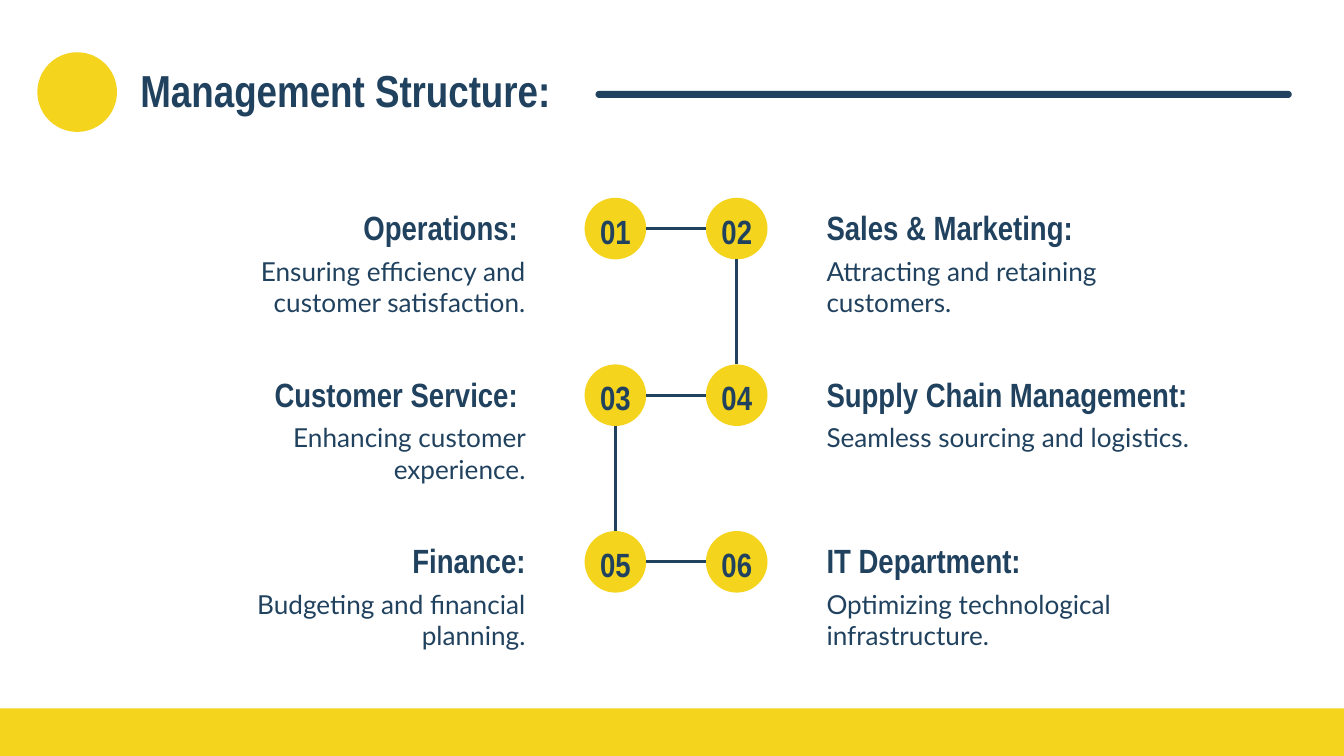
import pptx
import pptx.util
import pptx.dml.color
import pptx.enum.shapes
import pptx.enum.text
import pptx.oxml.xmlchemy
from lxml import etree

Pt = pptx.util.Pt
SHAPE = pptx.enum.shapes.MSO_SHAPE
ALIGN = pptx.enum.text.PP_ALIGN
ANCHOR = pptx.enum.text.MSO_ANCHOR

YELLOW, NAVY = "F5D41E", "21425F"
HEADING = {"name": "Arial Narrow", "size": Pt(18), "bold": True}
TITLE = {**HEADING, "size": Pt(24)}
BODY = {"name": "Lato", "size": Pt(14), "bold": False}
INSET = 7.2
CIRCLE = 33
ROW_PITCH = 89.25

DEPARTMENTS = [
    (("Operations: ", "Ensuring efficiency and customer satisfaction."),
     ("Sales & Marketing:", "Attracting and retaining customers.")),
    (("Customer Service: ", "Enhancing customer experience."),
     ("Supply Chain Management:", "Seamless sourcing and logistics.")),
    (("Finance:", "Budgeting and financial planning."),
     ("IT Department:", "Optimizing technological infrastructure.")),
]


def rgb(color):
    return pptx.dml.color.RGBColor.from_string(color)


def add_block(s, kind, box, color):
    """Add a plain filled shape without outline."""
    sp = s.shapes.add_shape(kind, *map(Pt, box))
    sp.shadow.inherit = False
    sp.fill.solid()
    sp.fill.fore_color.rgb = rgb(color)
    sp.line.fill.background()
    return sp


def write(sp, text, font, align, anchor=ANCHOR.TOP, spacing=1.0):
    tf = sp.text_frame
    frame = {"word_wrap": True, "vertical_anchor": anchor,
             "auto_size": pptx.enum.text.MSO_AUTO_SIZE.NONE}
    for side in ("left", "top", "right", "bottom"):
        frame["margin_" + side] = Pt(INSET)
    for name, value in frame.items():
        setattr(tf, name, value)
    p = tf.paragraphs[0]
    p.alignment, p.line_spacing = align, spacing
    r = p.add_run()
    r.text = text
    for name, value in font.items():
        setattr(r.font, name, value)
    r.font.color.rgb = rgb(NAVY)


def add_text(s, box, *args, **kwargs):
    write(s.shapes.add_textbox(*map(Pt, box)), *args, **kwargs)


def add_line(s, x1, y1, x2, y2):
    cx = s.shapes.add_connector(pptx.enum.shapes.MSO_CONNECTOR.STRAIGHT,
                                *map(Pt, (x1, y1, x2, y2)))
    cx.line.color.rgb = rgb(NAVY)
    cx.line.width = Pt(1.5)
    etree.SubElement(cx.line._get_or_add_ln().getparent(),
                     pptx.oxml.ns.qn("a:effectLst"))


def add_header(s, left, top, width, height):
    """Place the dot, the slide title and the rule to its right."""
    add_block(s, SHAPE.OVAL, (left, top, height, height), YELLOW)
    title = s.shapes.title
    box = {"left": left + 48, "top": top - 1.5, "width": 334, "height": 45.4}
    for name, value in box.items():
        setattr(title, name, Pt(value))
    write(title, "Management Structure:", TITLE, ALIGN.LEFT)
    rule_left = left + 299
    rule = add_block(s, SHAPE.ROUNDED_RECTANGLE,
                     (rule_left, top + 20.7, left + width - rule_left, 3.8), NAVY)
    rule.adjustments[0] = 0.5


def add_department(s, left, top, width, heading, detail, align):
    heading_width = max(width, 236 if len(heading) > 20 else 0)
    add_text(s, (left, top, heading_width, 33), heading, HEADING, align,
             ANCHOR.BOTTOM, 0.8)
    add_text(s, (left, top + 23, width, 45.4), detail, BODY, align)


def add_number_path(s, left, top, gap):
    """Place two columns of numbered circles and the lines that join them."""
    columns = (left, left + gap)
    mid = CIRCLE / 2
    last = len(DEPARTMENTS) - 1
    for row in range(last + 1):
        y = top + row * ROW_PITCH
        for col, x in enumerate(columns):
            add_block(s, SHAPE.OVAL, (x, y, CIRCLE, CIRCLE), YELLOW)
            add_text(s, (x - 6.5, y - 5, CIRCLE + 13, 45.4),
                     f"{2 * row + col + 1:02}", HEADING, ALIGN.CENTER, ANCHOR.MIDDLE)
        add_line(s, columns[0] + CIRCLE, y + mid, columns[1], y + mid)
        if row < last:
            # The path drops on the right first, then on the left.
            x = columns[(row + 1) % 2] + mid
            add_line(s, x, y + CIRCLE, x, y + ROW_PITCH)


def add_structure(s, left, top, width):
    """Place the departments on either side of the numbered path."""
    text_width = 211
    sides = ((left, ALIGN.RIGHT), (left + width - text_width, ALIGN.LEFT))
    for row, pair in enumerate(DEPARTMENTS):
        for (x, align), (heading, detail) in zip(sides, pair):
            add_department(s, x, top + 0.5 + row * ROW_PITCH, text_width,
                           heading, detail, align)
    add_number_path(s, left + 235.5, top, 65)


def main():
    prs = pptx.Presentation()
    prs.slide_width, prs.slide_height = Pt(720), Pt(405)
    s = prs.slides.add_slide(prs.slide_layouts[5])
    add_block(s, SHAPE.RECTANGLE, (0, 379.5, 720, 25.5), YELLOW)
    add_header(s, 20, 28, 672, 42.7)
    add_structure(s, 77.7, 106, 569)
    prs.save("out.pptx")


if __name__ == "__main__":
    main()
